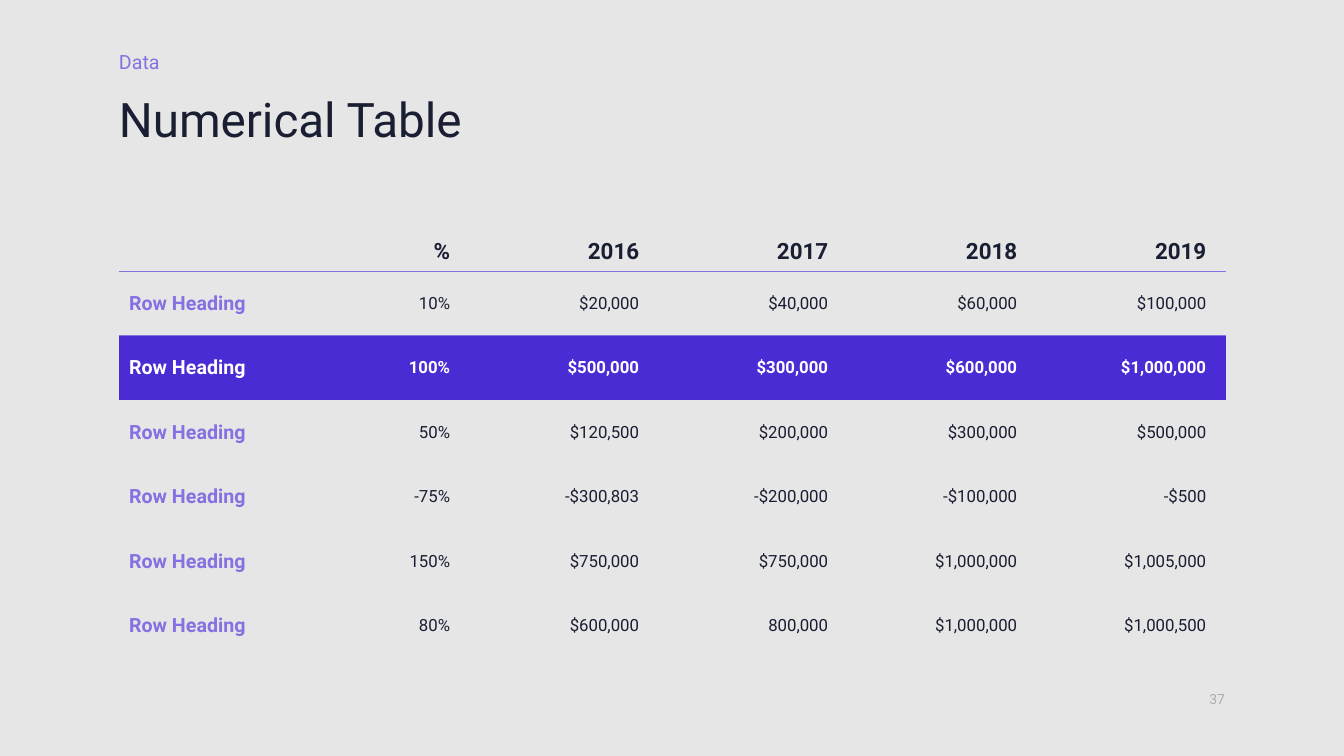
"""Build the numerical table slide."""
from dataclasses import dataclass
from typing import Optional

from lxml.etree import SubElement
from pptx import Presentation
from pptx.dml.color import RGBColor
from pptx.enum.text import MSO_ANCHOR as Anchor, PP_ALIGN as Align
from pptx.oxml.ns import qn
from pptx.util import Emu, Inches, Pt


@dataclass(frozen=True)
class Theme:
    font: str = "Roboto"
    background: str = "E7E6E6"
    ink: str = "191E32"
    accent: str = "8670E2"
    band: str = "4B2BD3"
    on_band: str = "FFFFFF"
    faint: str = "AFABAB"
    title_size: int = 34
    year_size: int = 16
    heading_size: int = 14
    value_size: int = 12
    number_size: int = 10
    rule_width: int = 1


@dataclass(frozen=True)
class Label:
    text: str
    left: float
    top: float
    width: float
    height: float
    size: int
    color: str
    anchor: Anchor = Anchor.BOTTOM
    align: Align = Align.LEFT
    wrap: bool = True
    spacing: Optional[float] = None
    after: int = 0


@dataclass(frozen=True)
class Record:
    values: tuple[str, ...]
    heading: str = "Row Heading"
    highlighted: bool = False


THEME = Theme()
SLIDE_WIDTH, SLIDE_HEIGHT = Inches(13.33), Inches(7.5)
GRID_COLUMNS, GRID_ROWS = 133.3, 75
MARGIN = 11.8
TABLE_TOP = 23
HEADING_COLUMN, VALUE_COLUMN = 16.1, 18.75
HEADER_ROW, RECORD_ROW = 3.9, 6.4
PLAIN_TABLE_STYLE = "{2D5ABB26-0587-4C30-8999-92F81FD0307C}"

LABELS = (
    Label("37", 115.7, 67.5, 5.8, 2.7, THEME.number_size, THEME.faint,
          align=Align.RIGHT, after=4),
    Label("Data", MARGIN, 4.9, 4.1, 2.4, THEME.heading_size, THEME.accent,
          wrap=False, spacing=1.1, after=9),
    Label("Numerical Table", MARGIN, 9.6, 97.6, 7.6, THEME.title_size, THEME.ink,
          anchor=Anchor.TOP, spacing=0.9),
)
HEADER = ("", "%", "2016", "2017", "2018", "2019")
RECORDS = (
    Record(("10%", "$20,000", "$40,000", "$60,000", "$100,000")),
    Record(("100%", "$500,000", "$300,000", "$600,000", "$1,000,000"), highlighted=True),
    Record(("50%", "$120,500", "$200,000", "$300,000", "$500,000")),
    Record(("-75%", "-$300,803", "-$200,000", "-$100,000", "-$500")),
    Record(("150%", "$750,000", "$750,000", "$1,000,000", "$1,005,000")),
    Record(("80%", "$600,000", "800,000", "$1,000,000", "$1,000,500")),
)


def across(columns: float) -> Emu:
    return Emu(round(SLIDE_WIDTH * columns / GRID_COLUMNS))


def down(rows: float) -> Emu:
    return Emu(round(SLIDE_HEIGHT * rows / GRID_ROWS))


def write(frame, text: str, *, size: int, color: str, bold: bool = False,
          align: Align = Align.LEFT, spacing: Optional[float] = None,
          after: int = 0) -> None:
    paragraph = frame.paragraphs[0]
    paragraph.alignment = align
    paragraph.space_after = Pt(after)
    if spacing:
        paragraph.line_spacing = spacing
    if text:
        paragraph.add_run().text = text
    for font in (paragraph.font, *(run.font for run in paragraph.runs)):
        font.name, font.size, font.bold = THEME.font, Pt(size), bold
        font.color.rgb = RGBColor.from_string(color)


def add_label(slide, label: Label) -> None:
    box = slide.shapes.add_textbox(across(label.left), down(label.top),
                                   across(label.width), down(label.height))
    frame = box.text_frame
    frame.margin_left = frame.margin_right = frame.margin_top = frame.margin_bottom = 0
    frame.word_wrap, frame.vertical_anchor = label.wrap, label.anchor
    write(frame, label.text, size=label.size, color=label.color, align=label.align,
          spacing=label.spacing, after=label.after)


def rule(cell, edge: str) -> None:
    properties = cell._tc.get_or_add_tcPr()
    line = SubElement(properties, qn(f"a:{edge}"), w=str(Pt(THEME.rule_width)))
    solid = SubElement(line, qn("a:solidFill"))
    SubElement(solid, qn("a:srgbClr"), val=THEME.accent)


def fill_cell(cell, text: str, *, is_value: bool, size: int, color: str,
              bold: bool, after: int = 0, edge: str = "", band: str = "") -> None:
    cell.vertical_anchor = Anchor.MIDDLE
    if is_value:
        cell.margin_right = across(2)
    if edge:
        rule(cell, edge)
    if band:
        cell.fill.solid()
        cell.fill.fore_color.rgb = RGBColor.from_string(band)
    else:
        cell.fill.background()
    write(cell.text_frame, text, size=size, color=color, bold=bold, after=after,
          align=Align.RIGHT if is_value else Align.LEFT)


def add_numbers(slide) -> None:
    widths = [HEADING_COLUMN] + [VALUE_COLUMN] * (len(HEADER) - 1)
    heights = [HEADER_ROW] + [RECORD_ROW] * len(RECORDS)
    numbers = slide.shapes.add_table(
        len(heights), len(widths), across(MARGIN), down(TABLE_TOP),
        across(sum(widths)), down(sum(heights))).table
    numbers.first_row = numbers.horz_banding = False
    numbers._tbl.tblPr.find(qn("a:tableStyleId")).text = PLAIN_TABLE_STYLE
    for column, width in zip(numbers.columns, widths):
        column.width = across(width)
    for row, height in zip(numbers.rows, heights):
        row.height = down(height)

    for index, year in enumerate(HEADER):
        fill_cell(numbers.cell(0, index), year, is_value=index > 0,
                  size=THEME.year_size, color=THEME.ink, bold=True, edge="lnB")
    for position, record in enumerate(RECORDS, start=1):
        for index, text in enumerate((record.heading, *record.values)):
            is_value = index > 0
            color = THEME.ink if is_value else THEME.accent
            fill_cell(numbers.cell(position, index), text, is_value=is_value,
                      size=THEME.value_size if is_value else THEME.heading_size,
                      color=THEME.on_band if record.highlighted else color,
                      bold=record.highlighted or not is_value, after=6,
                      edge="lnT" if position == 1 else "",
                      band=THEME.band if record.highlighted else "")


def main() -> None:
    deck = Presentation()
    deck.slide_width, deck.slide_height = SLIDE_WIDTH, SLIDE_HEIGHT
    slide = deck.slides.add_slide(deck.slide_layouts[6])
    slide.background.fill.solid()
    slide.background.fill.fore_color.rgb = RGBColor.from_string(THEME.background)
    for label in LABELS:
        add_label(slide, label)
    add_numbers(slide)
    deck.save("out.pptx")


if __name__ == "__main__":
    main()
